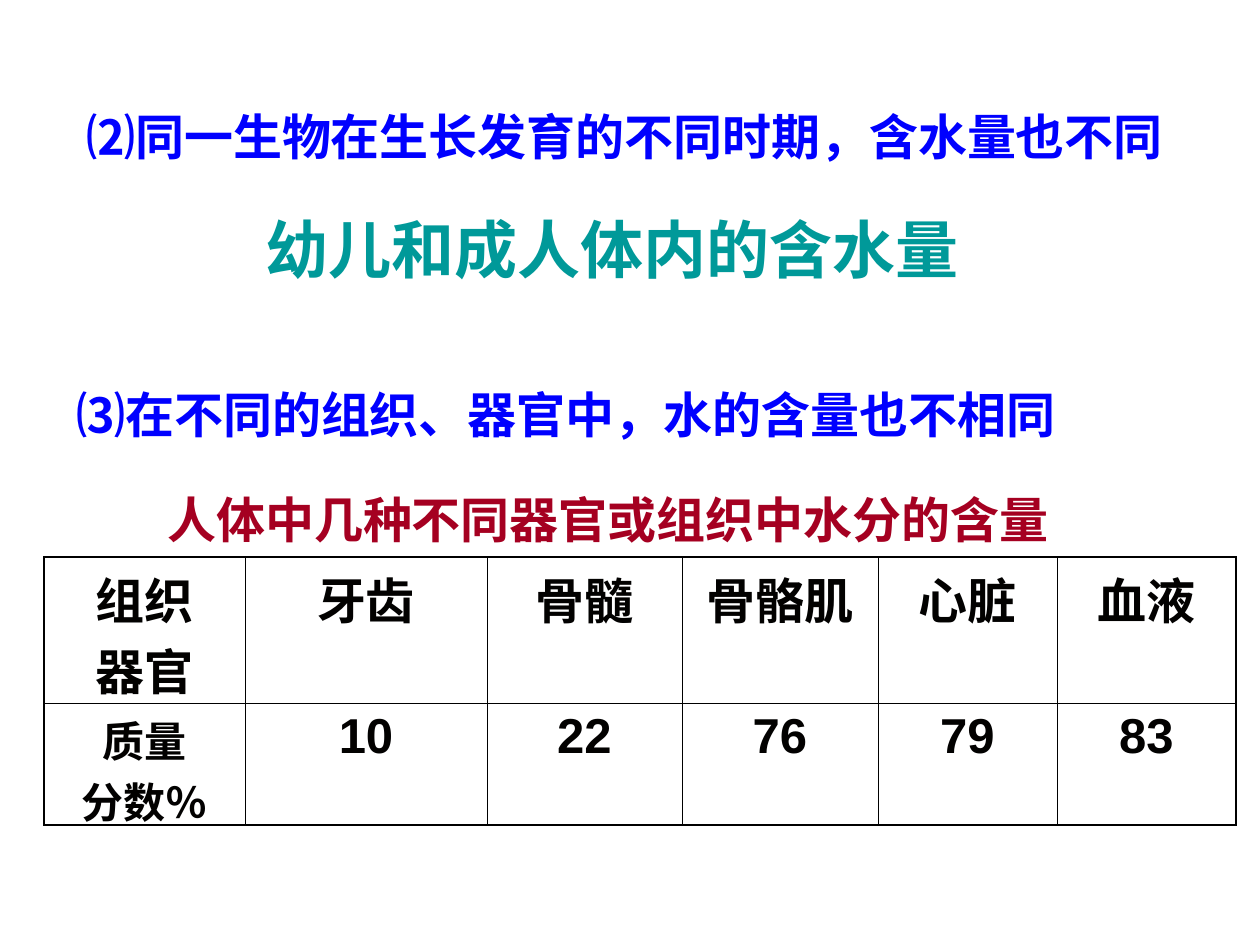
from pptx import Presentation
from pptx.dml.color import RGBColor
from pptx.enum.text import MSO_AUTO_SIZE, PP_ALIGN
from pptx.oxml import parse_xml
from pptx.oxml.ns import nsdecls
from pptx.util import Pt

PX = 914400 / 126  # EMU in one px

BLUE = RGBColor(0x00, 0x00, 0xFF)
TEAL = RGBColor(0x00, 0x99, 0x99)
CRIMSON = RGBColor(0xA5, 0x00, 0x21)
INK = RGBColor(0x02, 0x01, 0x00)
LINE = RGBColor(0x00, 0x00, 0x00)
OUTER, INNER = 1.08, 0.45  # border widths in points


def px(length):
    return round(length * PX)


def add_span(para, text, size, color, font="Arial"):
    span = para.add_run()
    span.text = text
    span.font.name = font
    span.font.size = Pt(size)
    span.font.bold = True
    span.font.color.rgb = color


deck = Presentation()
deck.slide_width, deck.slide_height = px(1260), px(945)
page = deck.slides.add_slide(deck.slide_layouts[6])

# Statements and headings: left, top, width, height, text, size, colour, font, wrap
lines = [
    (74, 100, 1124, 72, "⑵同一生物在生长发育的不同时期，含水量也不同", 28, BLUE, "Arial", True),
    (253, 204, 745, 88, "幼儿和成人体内的含水量", 36, TEAL, "Arial", True),
    (64, 378, 1103, 72, "⑶在不同的组织、器官中，水的含量也不相同", 28, BLUE, "Arial", True),
    (155, 483, 906, 72, "人体中几种不同器官或组织中水分的含量", 28, CRIMSON, "Times New Roman", False),
]
for left, top, width, height, text, size, color, font, wrap in lines:
    box = page.shapes.add_textbox(px(left), px(top), px(width), px(height))
    frame = box.text_frame
    frame.word_wrap = wrap
    frame.auto_size = MSO_AUTO_SIZE.SHAPE_TO_FIT_TEXT
    add_span(frame.paragraphs[0], text, size, color, font)

# Water content table
rows = [
    ["组织\n器官", "牙齿", "骨髓", "骨骼肌", "心脏", "血液"],
    ["质量\n分数％", "10", "22", "76", "79", "83"],
]
column_widths = [201, 242, 195, 196, 179, 179]
row_heights = [146, 122]
last_row, last_column = len(rows) - 1, len(column_widths) - 1

table = page.shapes.add_table(
    len(rows), len(column_widths), px(44), px(557),
    px(sum(column_widths)), px(sum(row_heights))).table
table.first_row = False
table.horz_banding = False
for column, width in zip(table.columns, column_widths):
    column.width = px(width)
for row, height in zip(table.rows, row_heights):
    row.height = px(height)

for r, row_texts in enumerate(rows):
    for c, text in enumerate(row_texts):
        cell = table.cell(r, c)
        para = cell.text_frame.paragraphs[0]
        para.alignment = PP_ALIGN.CENTER
        size = 24 if (r, c) == (1, 0) else 28
        for i, part in enumerate(text.split("\n")):
            if i:
                para.add_line_break()
            add_span(para, part, size, INK)

        # Heavier borders around the outside of the grid
        edges = {"lnL": c == 0, "lnR": c == last_column,
                 "lnT": r == 0, "lnB": r == last_row}
        properties = cell._tc.get_or_add_tcPr()
        for tag, outside in edges.items():
            weight = Pt(OUTER if outside else INNER)
            properties.append(parse_xml(
                f'<a:{tag} {nsdecls("a")} w="{weight}"><a:solidFill>'
                f'<a:srgbClr val="{LINE}"/></a:solidFill></a:{tag}>'))
        cell.fill.background()

deck.save("out.pptx")
